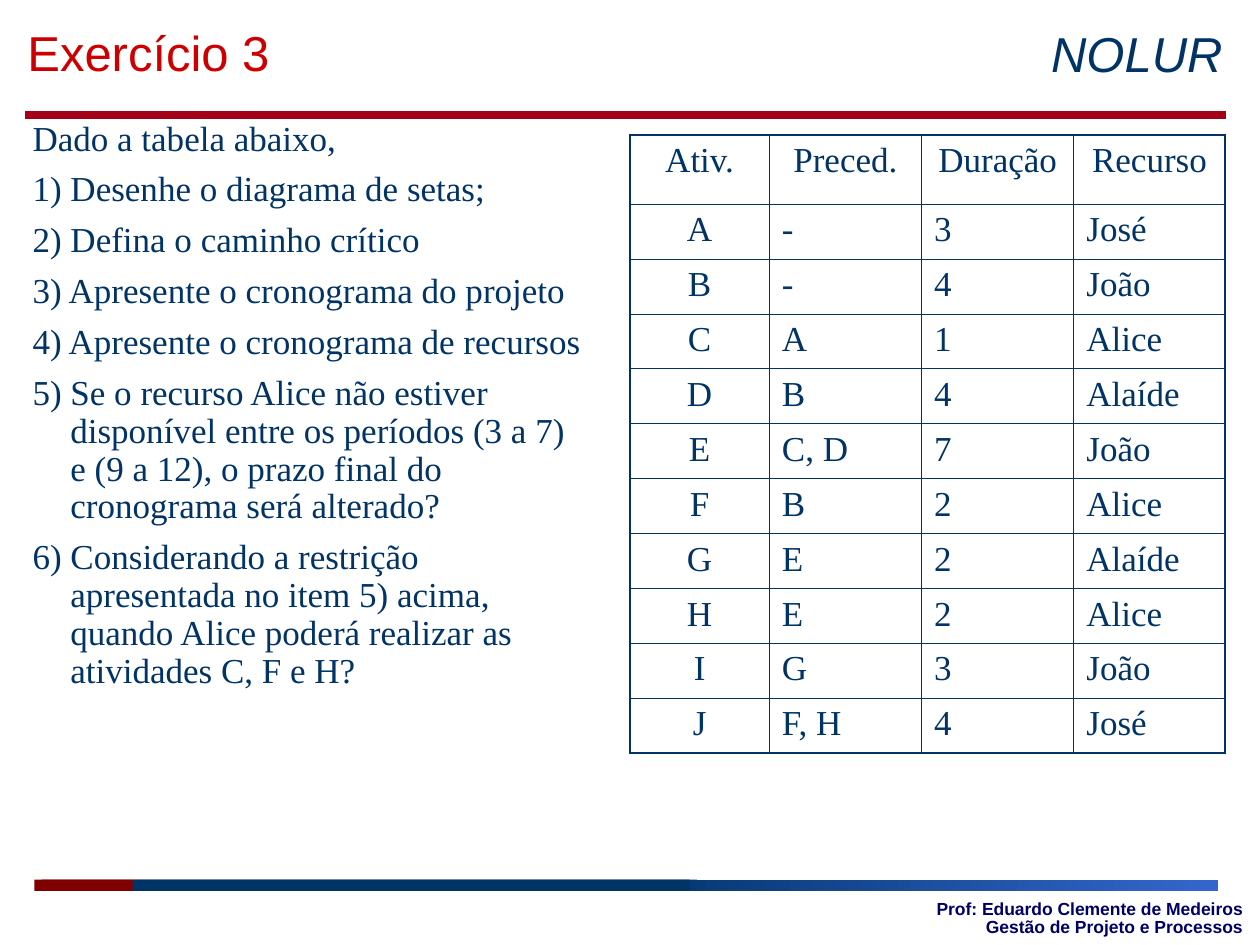
from pptx import Presentation
from pptx import util as u
from pptx.dml.color import RGBColor
from pptx.enum import shapes, text
from pptx.oxml import ns
from lxml import etree

COLORS = {
    "navy": "003366",
    "blue": "3366CC",
    "maroon": "800000",
    "rule": "A40018",
    "title": "CC0000",
    "credit": "000066",
}
LEFT, CENTER, RIGHT = text.PP_ALIGN.LEFT, text.PP_ALIGN.CENTER, text.PP_ALIGN.RIGHT

QUESTIONS = [
    "Dado a tabela abaixo,",
    "1) Desenhe o diagrama de setas;",
    "2) Defina o caminho crítico",
    "3) Apresente o cronograma do projeto",
    "4) Apresente o cronograma de recursos",
    "5) Se o recurso Alice não estiver disponível entre os períodos (3 a 7) "
    "e (9 a 12), o prazo final do cronograma será alterado?",
    "6) Considerando a restrição apresentada no item 5) acima, quando Alice "
    "poderá realizar as atividades C, F e H?",
]
ACTIVITIES = [
    ("Ativ.", "Preced.", "Duração", "Recurso"),
    ("A", "-", "3", "José"),
    ("B", "-", "4", "João"),
    ("C", "A", "1", "Alice"),
    ("D", "B", "4", "Alaíde"),
    ("E", "C, D", "7", "João"),
    ("F", "B", "2", "Alice"),
    ("G", "E", "2", "Alaíde"),
    ("H", "E", "2", "Alice"),
    ("I", "G", "3", "João"),
    ("J", "F, H", "4", "José"),
]


def rgb(name):
    return RGBColor.from_string(COLORS[name])


def write(para, words, size, color, font="Arial", align=LEFT, before=0, after=0,
          spacing=1.0, bold=False, italic=False):
    para.alignment = align
    para.space_before, para.space_after = u.Pt(before), u.Pt(after)
    para.line_spacing = spacing
    span = para.add_run()
    span.text = words
    span.font.name, span.font.size = font, u.Pt(size)
    span.font.bold, span.font.italic = bold, italic
    span.font.color.rgb = rgb(color)


def add_text(page, left, top, width, height, lines, hanging=0, grow=True,
             anchor=text.MSO_ANCHOR.TOP, **style):
    box = page.shapes.add_textbox(u.Pt(left), u.Pt(top), u.Pt(width), u.Pt(height))
    frame = box.text_frame
    frame.word_wrap = True
    frame.vertical_anchor = anchor
    frame.auto_size = (text.MSO_AUTO_SIZE.SHAPE_TO_FIT_TEXT if grow
                       else text.MSO_AUTO_SIZE.NONE)
    for index, words in enumerate(lines):
        para = frame.add_paragraph() if index else frame.paragraphs[0]
        write(para, words, **style)
        if hanging:
            props = para._p.get_or_add_pPr()
            props.set("marL", str(u.Pt(hanging)))
            props.set("indent", str(-u.Pt(hanging)))


def add_bar(band, left, width, color, end_color=None):
    bar = band.shapes.add_shape(shapes.MSO_SHAPE.RECTANGLE, u.Pt(left), u.Pt(502.6),
                                u.Pt(width), u.Pt(6.5))
    bar.shadow.inherit = False
    bar.line.fill.background()
    if end_color:
        bar.fill.gradient()
        bar.fill.gradient_angle = 0
        for stop, name in zip(bar.fill.gradient_stops, (color, end_color)):
            stop.color.rgb = rgb(name)
    else:
        bar.fill.solid()
        bar.fill.fore_color.rgb = rgb(color)


def add_footer_band(page, left):
    band = page.shapes.add_group_shape()
    add_bar(band, left, 56.2, "maroon")
    add_bar(band, left + 321.1, 351.4, "navy", "blue")
    add_bar(band, left + 56.2, 318.2, "navy")


def add_rule(page, left, right, y):
    rule = page.shapes.add_connector(shapes.MSO_CONNECTOR.STRAIGHT, u.Pt(left), u.Pt(y),
                                     u.Pt(right), u.Pt(y))
    rule.line.color.rgb = rgb("rule")
    rule.line.width = u.Pt(4.5)
    etree.SubElement(rule._element.spPr, ns.qn("a:effectLst"))


def set_borders(cell, outer_sides):
    props = cell._tc.get_or_add_tcPr()
    for side in "LRTB":
        width = 1.08 if side in outer_sides else 0.45
        line = etree.SubElement(props, ns.qn(f"a:ln{side}"), w=str(u.Pt(width)))
        fill = etree.SubElement(line, ns.qn("a:solidFill"))
        etree.SubElement(fill, ns.qn("a:srgbClr"), val=COLORS["navy"])


def add_activity_table(page, left, top, widths, heights):
    rows, cols = len(heights), len(widths)
    table = page.shapes.add_table(rows, cols, u.Pt(left), u.Pt(top), u.Pt(sum(widths)),
                                  u.Pt(sum(heights))).table
    table.first_row = table.horz_banding = False
    for column, width in zip(table.columns, widths):
        column.width = u.Pt(width)
    for r, height in enumerate(heights):
        table.rows[r].height = u.Pt(height)
        for c, words in enumerate(ACTIVITIES[r]):
            cell = table.cell(r, c)
            edges = {"L": c == 0, "R": c == cols - 1, "T": r == 0, "B": r == rows - 1}
            set_borders(cell, [side for side, outer in edges.items() if outer])
            cell.fill.background()
            write(cell.text_frame.paragraphs[0], words, 20, "navy", "Times New Roman",
                  CENTER if r == 0 or c == 0 else LEFT, before=5)


def main():
    deck = Presentation()
    deck.slide_width, deck.slide_height = u.Pt(720), u.Pt(540)
    page = deck.slides.add_slide(deck.slide_layouts[6])

    add_footer_band(page, 23.8)
    add_rule(page, 14.4, 700.6, 65.8)
    add_footer_band(page, 19.6)
    add_text(page, 569.5, 15.1, 136.1, 36, ["NOLUR"], size=28, color="navy",
             align=RIGHT, before=17.5, spacing=0.85, italic=True)
    add_text(page, 507.6, 514.1, 209.5, 22.3,
             ["Prof: Eduardo Clemente de Medeiros Gestão de Projeto e Processos"],
             grow=False, anchor=text.MSO_ANCHOR.MIDDLE, size=10, color="credit",
             align=RIGHT, spacing=0.85, bold=True)
    add_text(page, 11.5, 65.5, 331.9, 333.4, QUESTIONS, hanging=21.6, size=20,
             color="navy", font="Times New Roman", before=5, after=2.5, spacing=0.9)
    add_text(page, 8.6, 9.4, 527, 41, ["Exercício 3"], size=28, color="title", before=17.5)
    add_activity_table(page, 360, 77, [79.6, 87, 87, 86.6], [39.6] + [31.4] * 10)

    deck.save("out.pptx")


if __name__ == "__main__":
    main()
